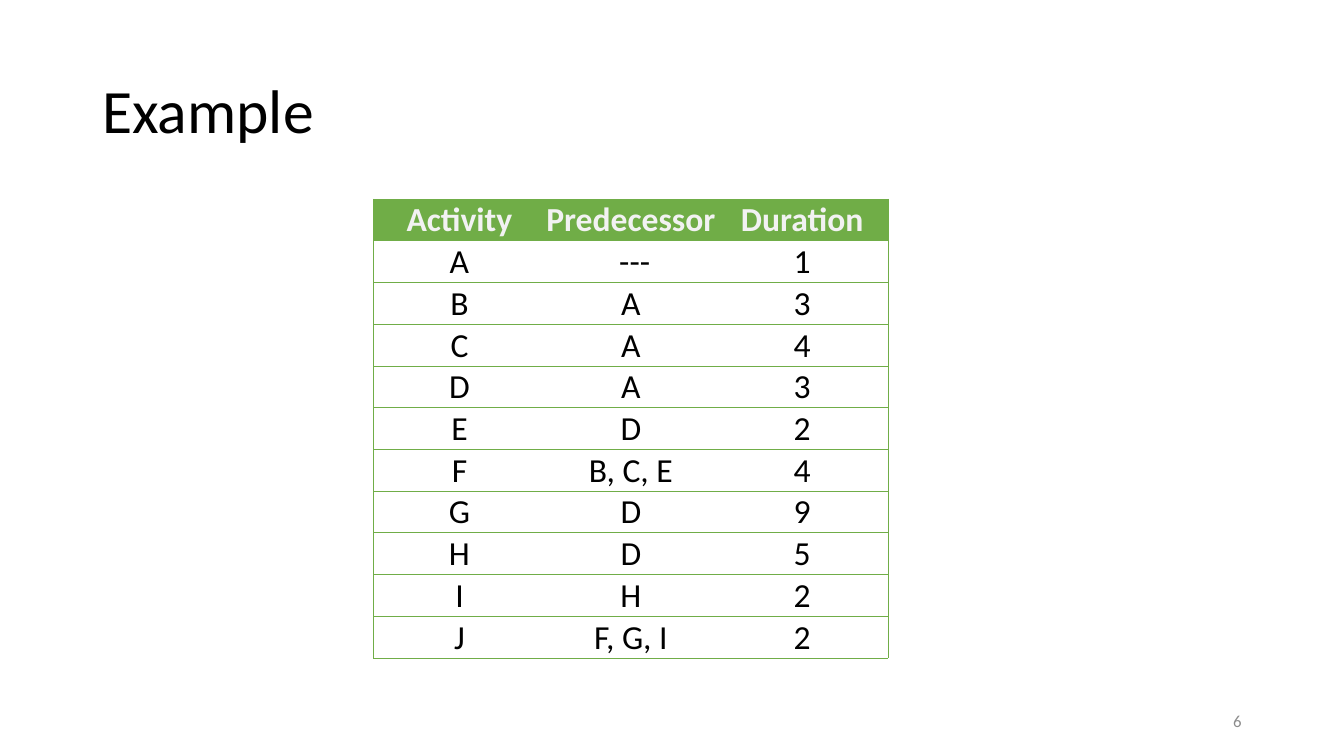
import dataclasses
import typing

import lxml.etree
import pptx
import pptx.dml.color
import pptx.enum.text
import pptx.oxml.ns
import pptx.util

Align = pptx.enum.text.PP_ALIGN
Anchor = pptx.enum.text.MSO_ANCHOR

GRID_COLS = 160
GRID_ROWS = 90
UNIT = pptx.util.Inches(1) / 12


@dataclasses.dataclass(frozen=True)
class Theme:
    font: str = "Calibri"
    ink: str = "000000"
    green: str = "70AD47"
    header_ink: str = "F2F2F2"
    muted: str = "8C8C8C"
    title_size: float = 44
    table_size: float = 24
    number_size: float = 12
    rule_width: float = 0.5


THEME = Theme()


@dataclasses.dataclass(frozen=True)
class Box:
    col: float
    row: float
    cols: float
    rows: float

    def emu(self) -> list[int]:
        return [grid(n) for n in (self.col, self.row, self.cols, self.rows)]


@dataclasses.dataclass(frozen=True)
class Label:
    text: str
    box: Box
    size: float
    color: str
    align: Align = Align.LEFT
    line_spacing: float = 1.0


class Activity(typing.NamedTuple):
    name: str
    predecessor: str
    duration: str


LABELS = [
    Label("Example", Box(11, 4.8, 138, 17.4), THEME.title_size, THEME.ink, line_spacing=0.9),
    Label("6", Box(113, 83.4, 36, 4.8), THEME.number_size, THEME.muted, Align.RIGHT),
]

HEADER = Activity("Activity", "Predecessor", "Duration")
ACTIVITIES = [
    Activity("A", " ---", "1"),
    Activity("B", "A", "3"),
    Activity("C", "A", "4"),
    Activity("D", "A", "3"),
    Activity("E", "D", "2"),
    Activity("F", "B, C, E", "4"),
    Activity("G", "D", "9"),
    Activity("H", "D", "5"),
    Activity("I", "H", "2"),
    Activity("J", "F, G, I", "2"),
]
TABLE_COL, TABLE_ROW = 44.5, 23.7
CELL_COLS, CELL_ROWS = 20.4, 4.97


def grid(n: float) -> int:
    return round(n * UNIT)


def add_run(p, text: str, size: float, color: str, bold: bool = False) -> None:
    r = p.add_run()
    r.text = text
    r.font.name = THEME.font
    r.font.size = pptx.util.Pt(size)
    r.font.bold = bold
    r.font.color.rgb = pptx.dml.color.RGBColor.from_string(color)


def add_label(s, label: Label) -> None:
    tf = s.shapes.add_textbox(*label.box.emu()).text_frame
    tf.word_wrap = True
    tf.vertical_anchor = Anchor.MIDDLE
    p = tf.paragraphs[0]
    p.alignment = label.align
    p.line_spacing = label.line_spacing
    add_run(p, label.text, label.size, label.color)


def set_borders(cell, ruled: set[str]) -> None:
    qn = pptx.oxml.ns.qn
    tc_pr = cell._tc.get_or_add_tcPr()
    for i, side in enumerate("LRTB"):
        ln = lxml.etree.Element(qn(f"a:ln{side}"), w=str(pptx.util.Pt(THEME.rule_width)))
        if side in ruled:
            fill = lxml.etree.SubElement(ln, qn("a:solidFill"))
            lxml.etree.SubElement(fill, qn("a:srgbClr"), val=THEME.green)
        else:
            lxml.etree.SubElement(ln, qn("a:noFill"))
        tc_pr.insert(i, ln)


def fill_cell(cell, text: str, is_header: bool) -> None:
    cell.margin_left = cell.margin_right = cell.margin_top = pptx.util.Inches(0.01)
    cell.margin_bottom = 0
    cell.vertical_anchor = Anchor.BOTTOM
    if is_header:
        cell.fill.solid()
        cell.fill.fore_color.rgb = pptx.dml.color.RGBColor.from_string(THEME.green)
    else:
        cell.fill.background()
    p = cell.text_frame.paragraphs[0]
    p.alignment = Align.CENTER
    color = THEME.header_ink if is_header else THEME.ink
    add_run(p, text, THEME.table_size, color, is_header)


def add_activity_table(s, rows: list[Activity]) -> None:
    n_cols = len(HEADER)
    box = Box(TABLE_COL, TABLE_ROW, n_cols * CELL_COLS, len(rows) * CELL_ROWS)
    table = s.shapes.add_table(len(rows), n_cols, *box.emu()).table
    table.horz_banding = False
    for column in table.columns:
        column.width = grid(CELL_COLS)
    for i, activity in enumerate(rows):
        table.rows[i].height = grid(CELL_ROWS)
        for j, text in enumerate(activity):
            cell = table.cell(i, j)
            fill_cell(cell, text, i == 0)
            edges = {0: {"L"}, n_cols - 1: {"R"}}
            set_borders(cell, {"T", "B"} | edges.get(j, set()))


def main() -> None:
    prs = pptx.Presentation()
    prs.slide_width = grid(GRID_COLS)
    prs.slide_height = grid(GRID_ROWS)
    s = prs.slides.add_slide(prs.slide_layouts[6])
    title, number = LABELS
    add_label(s, title)
    add_activity_table(s, [HEADER, *ACTIVITIES])
    add_label(s, number)
    prs.save("out.pptx")


if __name__ == "__main__":
    main()
